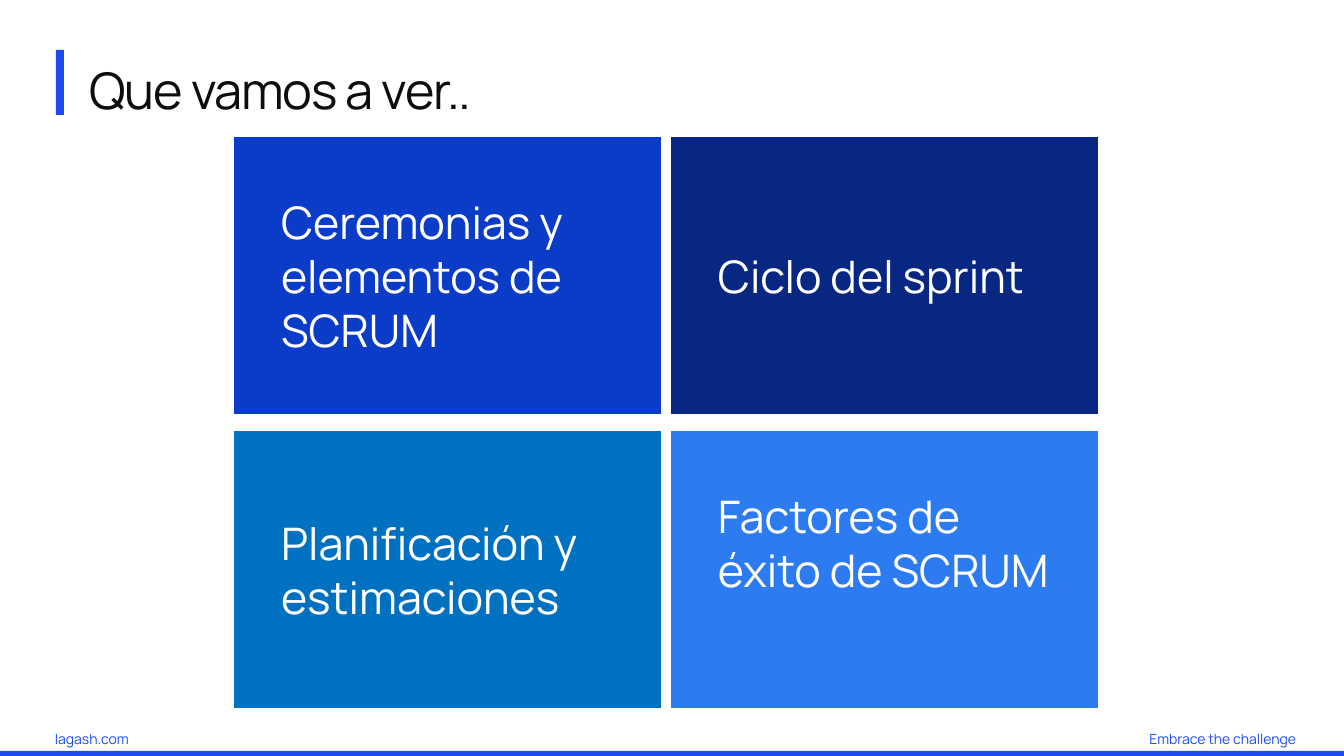
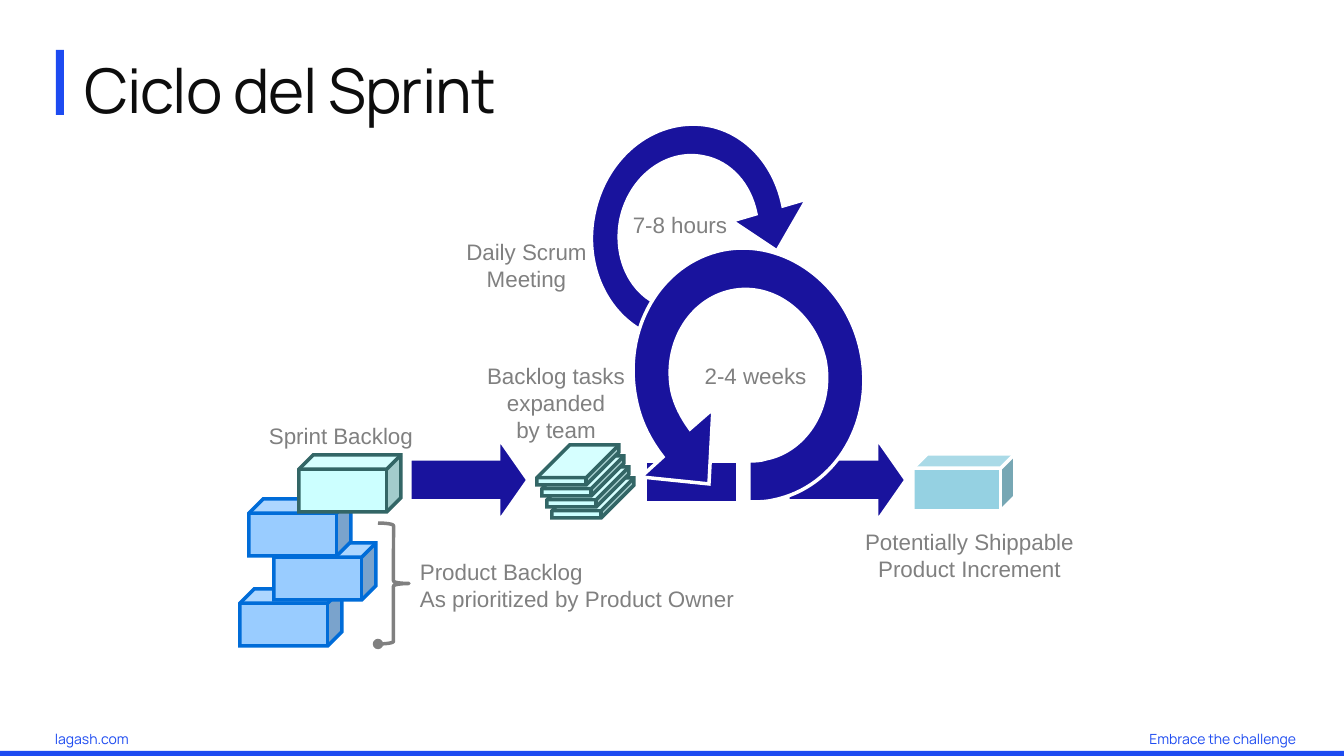
from lxml import etree
from pptx import Presentation
from pptx.dml.color import RGBColor
from pptx.enum.shapes import MSO_SHAPE
from pptx.enum.text import MSO_ANCHOR, MSO_AUTO_SIZE, PP_ALIGN
from pptx.oxml.ns import qn
from pptx.util import Pt

PX = 914400 / 100.8
SLIDE_W, SLIDE_H = 1344, 756

RECT, PROCESS = MSO_SHAPE.RECTANGLE, MSO_SHAPE.FLOWCHART_PROCESS
CUBE, ARROW, BRACE = MSO_SHAPE.CUBE, MSO_SHAPE.RIGHT_ARROW, MSO_SHAPE.RIGHT_BRACE
LEFT, CENTER, RIGHT = PP_ALIGN.LEFT, PP_ALIGN.CENTER, PP_ALIGN.RIGHT
MIDDLE, TOP = MSO_ANCHOR.MIDDLE, MSO_ANCHOR.TOP
NO_AUTOFIT = MSO_AUTO_SIZE.NONE

WHITE = RGBColor(0xFF, 0xFF, 0xFF)
INK = RGBColor(0x0D, 0x0D, 0x0D)
GRAY = RGBColor(0x80, 0x80, 0x80)
ACCENT = RGBColor(0x1D, 0x4B, 0xF1)
ROYAL = RGBColor(0x0B, 0x3C, 0xC8)
NAVY = RGBColor(0x07, 0x27, 0x83)
OCEAN = RGBColor(0x00, 0x70, 0xC0)
SKY = RGBColor(0x2C, 0x7B, 0xF0)
INDIGO = RGBColor(0x19, 0x13, 0x9D)
ITEM_FILL, ITEM_LINE = RGBColor(0x99, 0xCC, 0xFF), RGBColor(0x00, 0x6C, 0xD8)
TASK_FILL, TASK_LINE = RGBColor(0xCC, 0xFF, 0xFF), RGBColor(0x33, 0x66, 0x66)
PRODUCT_FILL = RGBColor(0x95, 0xD1, 0xE2)

BRAND_FONT, LABEL_FONT = "Manrope", "Arial"

TILES = [
    ("Ceremonias y elementos de SCRUM", ROYAL, 3),
    ("Ciclo del sprint", NAVY, 1),
    ("Planificación y estimaciones", OCEAN, 2),
    ("Factores de éxito de SCRUM", SKY, 3),
]

# Outlines: a pair is a straight step, six numbers are a cubic curve.
DAILY_LOOP = [
    (516, 94),
    (510, 64, 490, 42, 464, 37),
    (427, 29, 390, 57, 381, 99),
    (374, 134, 388, 169, 416, 183),
    (404, 212),
    (364, 191, 344, 142, 354, 94),
    (366, 34, 418, -5, 471, 6),
    (507, 14, 535, 45, 543, 86),
    (567, 79), (537, 131), (492, 101), (516, 94),
]
SPRINT_LOOP = [
    (450, 309),
    (442, 298, 435, 285, 432, 271),
    (423, 225, 449, 180, 491, 171),
    (533, 162, 574, 193, 585, 240),
    (594, 286, 567, 331, 526, 339),
    (520, 341, 515, 341, 509, 341),
    (509, 382),
    (518, 382, 526, 382, 534, 380),
    (597, 367, 635, 300, 621, 232),
    (607, 163, 544, 118, 483, 130),
    (420, 143, 382, 210, 396, 279),
    (400, 300, 409, 319, 423, 337),
    (401, 357), (469, 364), (473, 289), (450, 309),
]

CYCLE_LABELS = [
    ("2-4 weeks", (454, 237, 123, 37), CENTER),
    ("7-8 hours", (382, 86, 116, 37), CENTER),
    ("Product Backlog\nAs prioritized by Product Owner", (170, 433, 336, 65), LEFT),
    ("Sprint Backlog", (19, 297, 164, 37), LEFT),
    ("Backlog tasks\nexpanded\nby team", (237, 237, 158, 91), CENTER),
    ("Potentially Shippable\nProduct Increment", (615, 403, 229, 65), CENTER),
    ("Daily Scrum\nMeeting", (216, 113, 141, 65), CENTER),
]


def emu(*lengths):
    return [round(v * PX) for v in lengths]


def write(tf, text, *, size, color, font=BRAND_FONT, align=LEFT, anchor=TOP,
          wrap=True, inset=None, line_spacing=None, tracking=None):
    """Fill a text frame, one paragraph for each line of text."""
    tf.auto_size = NO_AUTOFIT
    tf.word_wrap = wrap
    tf.vertical_anchor = anchor
    if inset is not None:
        tf.margin_left = tf.margin_top = tf.margin_right = tf.margin_bottom = inset
    for i, line in enumerate(text.split("\n")):
        p = tf.add_paragraph() if i else tf.paragraphs[0]
        p.alignment = align
        if line_spacing:
            p.line_spacing = line_spacing
        r = p.add_run()
        r.text = line
        r.font.name, r.font.size = font, Pt(size)
        r.font.color.rgb = color
        if tracking:
            r._r.get_or_add_rPr().set("spc", str(tracking))


def add_text(s, box, text, **style):
    sp = s.shapes.add_textbox(*emu(*box))
    write(sp.text_frame, text, **style)


def add_line_part(sp, tag, **attributes):
    etree.SubElement(sp.element.spPr.find(qn("a:ln")), qn(tag), **attributes)


def paint(sp, fill, line=None, sharp=True):
    sp.shadow.inherit = False
    if fill is None:
        sp.fill.background()
    else:
        sp.fill.solid()
        sp.fill.fore_color.rgb = fill
    if line is None:
        sp.line.fill.background()
        return
    sp.line.color.rgb = line
    sp.line.width = Pt(2.5)
    if sharp:
        add_line_part(sp, "a:miter", lim="800000")


def add_shape(s, kind, box, fill, line=None, adjust=(), sharp=True):
    sp = s.shapes.add_shape(kind, *emu(*box))
    for i, value in enumerate(adjust):
        sp.adjustments[i] = value
    paint(sp, fill, line, sharp)
    return sp


def add_loop(s, x, y, outline):
    """Draw an outline, merging the three points of each curve into one step."""
    points = [emu(x + step[i], y + step[i + 1])
              for step in outline for i in range(0, len(step), 2)]
    builder = s.shapes.build_freeform(*points[0], scale=1.0)
    builder.add_line_segments(points[1:], close=True)
    sp = builder.convert_to_shape()
    segments = iter(list(sp.element.iter(qn("a:lnTo"))))
    for step in outline[1:]:
        first = next(segments)
        if len(step) == 6:
            first.tag = qn("a:cubicBezTo")
            for _ in range(2):
                extra = next(segments)
                first.append(extra[0])
                extra.getparent().remove(extra)
    paint(sp, INDIGO, WHITE)


def add_frame(s, layout):
    """Draw the shared bands and footers and move them to the layout."""
    tagline = add_shape(s, RECT, (1118, 731, 178, 17), WHITE)
    site = add_shape(s, RECT, (55, 731, 250, 17), WHITE)
    for sp, text, align in ((tagline, "Embrace the challenge", RIGHT),
                            (site, "lagash.com", LEFT)):
        write(sp.text_frame, text, size=10, color=ACCENT, align=align, inset=0)
    band = add_shape(s, RECT, (0, 751, SLIDE_W, 5), ACCENT)
    title_bar = add_shape(s, RECT, (56, 50, 8, 65), ACCENT)
    for number, sp in enumerate((tagline, site, band, title_bar), start=20):
        sp.element.nvSpPr.cNvPr.set("id", str(number))
        layout.shapes.element.append(sp.element)


def add_title(s, text, left, size):
    title = s.shapes.title
    title.left, title.top, title.width, title.height = emu(left, 50, 1219, 87)
    write(title.text_frame, text, size=size, color=INK, anchor=MIDDLE,
          line_spacing=0.9, tracking=-70)


def add_tiles(s, box):
    x, y, w, h = box
    gap_x, gap_y, indent, line_h = 10, 17, 47, 54
    tile_w, tile_h = (w - gap_x) // 2, (h - gap_y) // 2
    places = []
    for i, (text, fill, lines) in enumerate(TILES):
        row, col = divmod(i, 2)
        left, top = x + col * (tile_w + gap_x), y + row * (tile_h + gap_y)
        add_shape(s, PROCESS, (left, top, tile_w, tile_h), fill)
        text_h = lines * line_h
        places.append((left + indent, top + (tile_h - text_h + 1) // 2, 333, text_h))
    for place, (text, fill, lines) in zip(places, TILES):
        add_text(s, place, text, size=32, color=WHITE, inset=0)


def add_cycle(s, x, y):
    """Draw the sprint cycle with its top left corner at x, y."""
    def put(kind, box, *args, **options):
        left, top, w, h = box
        return add_shape(s, kind, (x + left, y + top, w, h), *args, **options)

    def put_block(left, top, fill, line):
        put(CUBE, (left, top, 102, 57), fill, line, adjust=(0.25,))

    def put_arrow(left):
        put(ARROW, (left, 318, 118, 84), INDIGO, WHITE, adjust=(0.5, 0.35))

    put_arrow(548)
    put(RECT, (405, 341, 93, 42), INDIGO, WHITE)
    add_loop(s, x, y, DAILY_LOOP)
    for left, top in ((0, 469), (34, 423), (9, 379)):
        put_block(left, top, ITEM_FILL, ITEM_LINE)
    put_block(59, 335, TASK_FILL, TASK_LINE)
    for i in range(4):
        put(CUBE, (312 - 5 * i, 358 - 11 * i, 82, 40), TASK_FILL, TASK_LINE, adjust=(0.82,))
    add_loop(s, x, y, SPRINT_LOOP)
    put_arrow(170)
    put_block(673, 334, PRODUCT_FILL, WHITE)
    for text, (left, top, w, h), align in CYCLE_LABELS:
        add_text(s, (x + left, y + top, w, h), text, size=16, color=GRAY,
                 font=LABEL_FONT, align=align, wrap=False)
    brace = put(BRACE, (138, 403, 31, 121), None, GRAY, sharp=False)
    add_line_part(brace, "a:tailEnd", type="oval")


def main():
    prs = Presentation()
    prs.slide_width, prs.slide_height = emu(SLIDE_W, SLIDE_H)
    layout = prs.slide_layouts[5]

    s = prs.slides.add_slide(layout)
    add_frame(s, layout)
    add_title(s, "Que vamos a ver..", 79, 36)
    add_tiles(s, (234, 137, 864, 571))

    s = prs.slides.add_slide(layout)
    add_title(s, "Ciclo del Sprint", 74, 44)
    add_cycle(s, 240, 120)

    prs.save("out.pptx")


if __name__ == "__main__":
    main()
